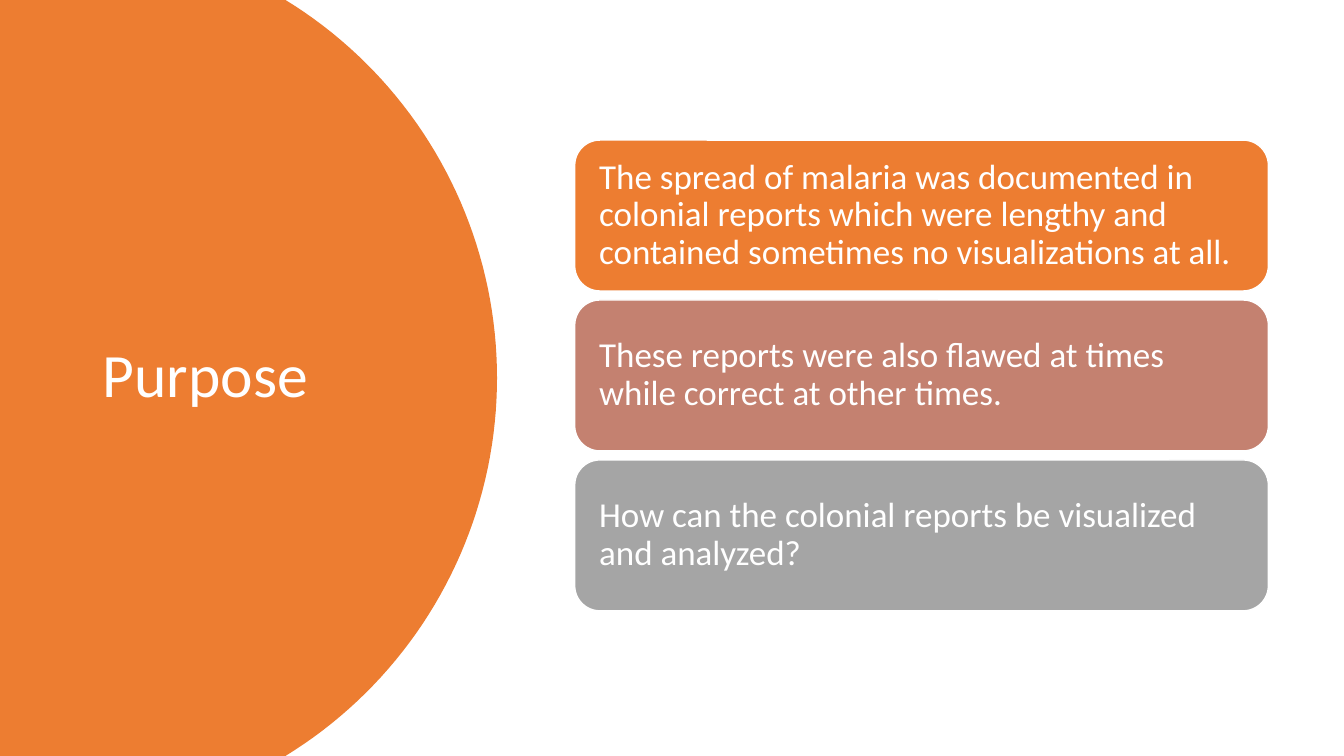
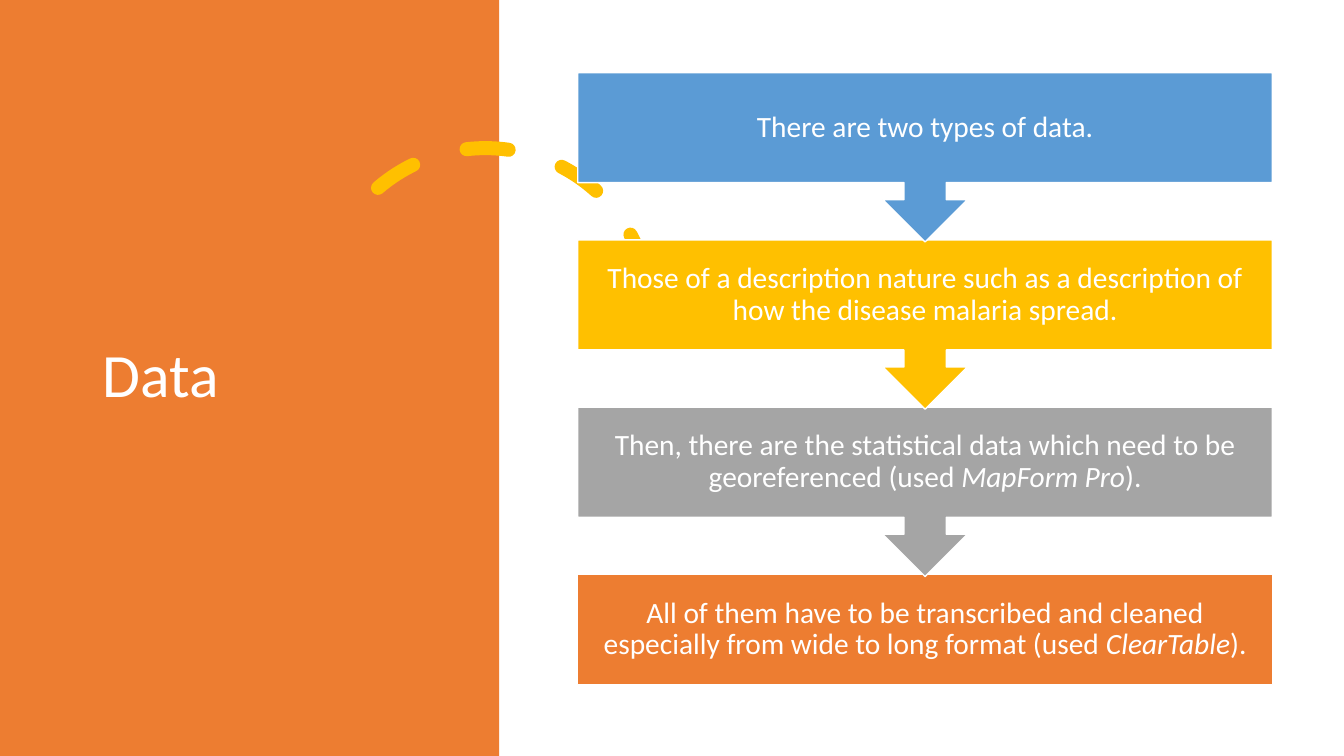
import math

from pptx import Presentation
from pptx import util as u
from pptx.dml.color import RGBColor
from pptx.enum import dml, shapes, text

PX = 9144
W, H = 1333, 750
FONT = "Calibri"
ORANGE, ROSE, GREY = "ED7D31", "C48170", "A5A5A5"
GOLD, BLUE, WHITE = "FFC000", "5B9BD5", "FFFFFF"
TITLE_BOX = (92, 70, 323, 609)
SHAPE = shapes.MSO_SHAPE

REASONS = [
    (ORANGE, "The spread of malaria was documented in colonial reports which "
             "were lengthy and contained sometimes no visualizations at all."),
    (ROSE, "These reports were also flawed at times while correct at other times."),
    (GREY, "How can the colonial reports be visualized and analyzed?"),
]
STEPS = [
    (BLUE, ["There are two types of data."]),
    (GOLD, ["Those of a description nature such as a description of how the "
            "disease malaria spread."]),
    (GREY, ["Then, there are the statistical data which need to be "
            "georeferenced (used ", "MapForm Pro", ")."]),
    (ORANGE, ["All of them have to be transcribed and cleaned especially from "
              "wide to long format (used ", "ClearTable", ")."]),
]


def px(*values):
    return [u.Emu(round(v * PX)) for v in values]


def color(value):
    return RGBColor.from_string(value)


def style(sp, fill=None, line=None, width=1):
    sp.shadow.inherit = False
    if fill:
        sp.fill.solid()
        sp.fill.fore_color.rgb = color(fill)
    else:
        sp.fill.background()
    if line:
        sp.line.color.rgb = color(line)
        sp.line.width = u.Pt(width)
    else:
        sp.line.fill.background()
    return sp


def add_shape(s, kind, box, **look):
    return style(s.shapes.add_shape(kind, *px(*box)), **look)


def write(sp, parts, size, align=text.PP_ALIGN.LEFT, inset=(10, 5)):
    tf = sp.text_frame
    tf.word_wrap = True
    tf.vertical_anchor = text.MSO_ANCHOR.MIDDLE
    tf.margin_left = tf.margin_right = px(inset[0])[0]
    tf.margin_top = tf.margin_bottom = px(inset[1])[0]
    p = tf.paragraphs[0]
    p.alignment = align
    p.line_spacing = 0.9
    p.font.name = FONT
    p.font.size = u.Pt(size)
    p.font.color.rgb = color(WHITE)
    for i, part in enumerate(parts):
        r = p.add_run()
        r.text = part
        if i % 2:
            r.font.italic = True


def add_text(s, box, parts, size, **layout):
    write(s.shapes.add_textbox(*px(*box)), parts, size, **layout)


def add_title(s, title):
    add_text(s, TITLE_BOX, [title], 44)


def round_panel(s, box, radius):
    x, y, w, h = box
    cx, cy = x + w - radius, y + h / 2
    half = math.asin(h / 2 / radius)
    steps = 80
    angles = [half * (2 * i / steps - 1) for i in range(steps + 1)]
    edge = [(cx + radius * math.cos(a), cy + radius * math.sin(a)) for a in angles]
    fb = s.shapes.build_freeform(x * PX, y * PX)
    fb.add_line_segments([px(*point) for point in edge + [(x, y + h)]], close=True)
    style(fb.convert_to_shape(), fill=ORANGE)


def dashed_arc(s, box):
    sp = add_shape(s, SHAPE.ARC, box, line=GOLD, width=10)
    sp.adjustments[0] = 146.129
    sp.adjustments[1] = 0
    sp.rotation = 345.8
    sp.line.dash_style = dml.MSO_LINE.DASH
    sp.line._get_or_add_ln().set("cap", "rnd")


def card_stack(s, box, items, gap):
    x, y, w, h = box
    card_h = (h - gap * (len(items) - 1)) / len(items)
    for i, (fill, words) in enumerate(items):
        card = (x, y + i * (card_h + gap), w, card_h)
        sp = add_shape(s, SHAPE.ROUNDED_RECTANGLE, card, fill=fill, line=WHITE)
        write(sp, [words], 25, inset=(17, 17))


def step_flow(s, box, items, body_h, callout_h):
    x, y, w, h = box
    last = len(items) - 1
    pitch = (h - body_h) / last
    for i in range(last, -1, -1):
        fill, parts = items[i]
        top = y + i * pitch
        body = (x, top, w, body_h)
        if i == last:
            add_shape(s, SHAPE.RECTANGLE, body, fill=fill, line=WHITE)
        else:
            sp = add_shape(s, SHAPE.UP_ARROW_CALLOUT, (x, top, w, callout_h),
                           fill=fill, line=WHITE)
            sp.rotation = 180
        add_text(s, body, parts, 21, align=text.PP_ALIGN.CENTER, inset=(16, 16))


def purpose_slide(s):
    round_panel(s, (0, 0, 493, H), 440)
    add_title(s, "Purpose")
    card_stack(s, (570, 139, 688, 467), REASONS, 9)


def data_slide(s):
    add_shape(s, SHAPE.RECTANGLE, (0, 0, 495, H), fill=ORANGE)
    dashed_arc(s, (318, 147, 327, 327))
    add_title(s, "Data")
    step_flow(s, (573, 72, 689, 607), STEPS, 109, 168)


def main():
    prs = Presentation()
    prs.slide_width, prs.slide_height = px(W, H)
    for build in (purpose_slide, data_slide):
        build(prs.slides.add_slide(prs.slide_layouts[6]))
    prs.save("out.pptx")


if __name__ == "__main__":
    main()
